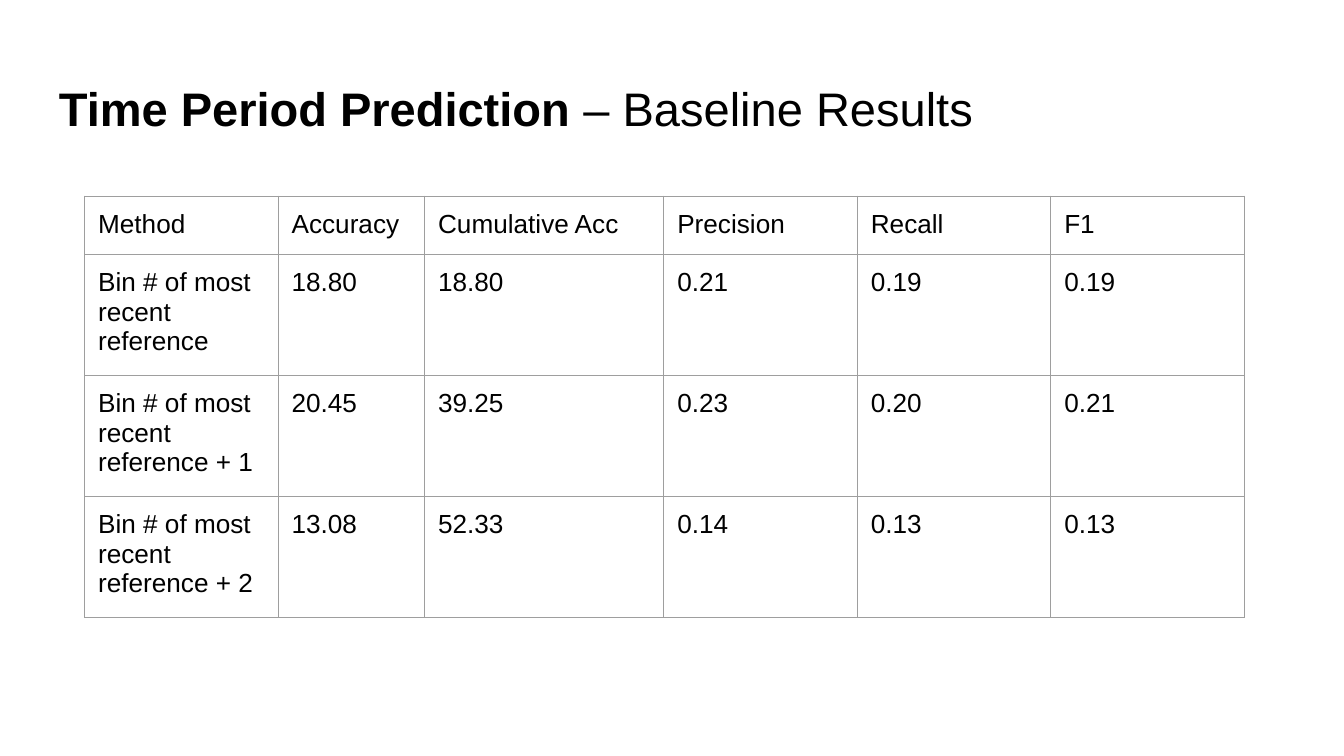
from lxml.etree import SubElement
from pptx import Presentation
from pptx.dml.color import RGBColor
from pptx.enum.text import MSO_ANCHOR
from pptx.oxml.ns import qn
from pptx.util import Inches, Pt

WIDTH = Inches(10)
HEIGHT = WIDTH * 9 // 16
INSET = Inches(0.1)
COLUMNS = [1.44, 1.09, 1.78, 1.44, 1.44, 1.44]
ROW_HEIGHTS = [0.3, 0.42, 0.42, 0.42]
RESULTS = [
    ["Method", "Accuracy", "Cumulative Acc", "Precision", "Recall", "F1"],
    ["Bin # of most recent reference", "18.80", "18.80", "0.21", "0.19", "0.19"],
    ["Bin # of most recent reference + 1", "20.45", "39.25", "0.23", "0.20", "0.21"],
    ["Bin # of most recent reference + 2", "13.08", "52.33", "0.14", "0.13", "0.13"],
]


def color(value):
    """Turn a hex string into a colour."""
    return RGBColor.from_string(value)


def style_font(font, size, bold=False):
    """Apply the slide's typeface in black."""
    font.name, font.size, font.bold = "Arial", Pt(size), bold
    font.color.rgb = color("000000")


def set_margins(target):
    """Give a cell or text frame equal insets."""
    target.margin_left = target.margin_right = INSET
    target.margin_top = target.margin_bottom = INSET


def add_title(page, spans):
    """Add the heading from pairs of text and weight."""
    box = page.shapes.add_textbox(
        int(WIDTH * 0.034), Inches(0.49), int(WIDTH * 0.932), Inches(0.63)
    )
    frame = box.text_frame
    frame.word_wrap = True
    frame.vertical_anchor = MSO_ANCHOR.MIDDLE
    set_margins(frame)
    for text, bold in spans:
        span = frame.paragraphs[0].add_run()
        span.text = text
        style_font(span.font, 25.2, bold)


def add_borders(cell, value, width):
    """Draw a solid line on all four sides of a cell."""
    properties = cell._tc.get_or_add_tcPr()
    for position, side in enumerate(("a:lnL", "a:lnR", "a:lnT", "a:lnB")):
        line = SubElement(properties, qn(side), w=str(Pt(width)))
        properties.insert(position, line)
        fill = SubElement(line, qn("a:solidFill"))
        SubElement(fill, qn("a:srgbClr"), val=value)


def fill_cell(cell, text):
    """Write and format one table cell."""
    cell.text_frame.text = text
    style_font(cell.text_frame.paragraphs[0].runs[0].font, 14)
    set_margins(cell)
    cell.vertical_anchor = MSO_ANCHOR.TOP
    cell.fill.background()
    add_borders(cell, "9E9E9E", 0.75)


def add_results(page, left, top, side):
    """Add the results table, whose rows grow to fit their text."""
    holder = page.shapes.add_table(
        len(RESULTS), len(COLUMNS), Inches(left), Inches(top),
        Inches(side), Inches(side),
    )
    table = holder.table
    table.first_row = table.horz_banding = False
    for column, width in zip(table.columns, COLUMNS):
        column.width = Inches(width)
    for row, height, texts in zip(table.rows, ROW_HEIGHTS, RESULTS):
        row.height = Inches(height)
        for cell, text in zip(row.cells, texts):
            fill_cell(cell, text)
    holder.width = holder.height = Inches(side)


def main():
    """Build and save the slide."""
    deck = Presentation()
    deck.slide_width, deck.slide_height = WIDTH, HEIGHT
    page = deck.slides.add_slide(deck.slide_layouts[6])
    add_title(page, [("Time Period Prediction", True), (" – Baseline Results", False)])
    add_results(page, 0.63, 1.46, 3.28)
    deck.save("out.pptx")


if __name__ == "__main__":
    main()
